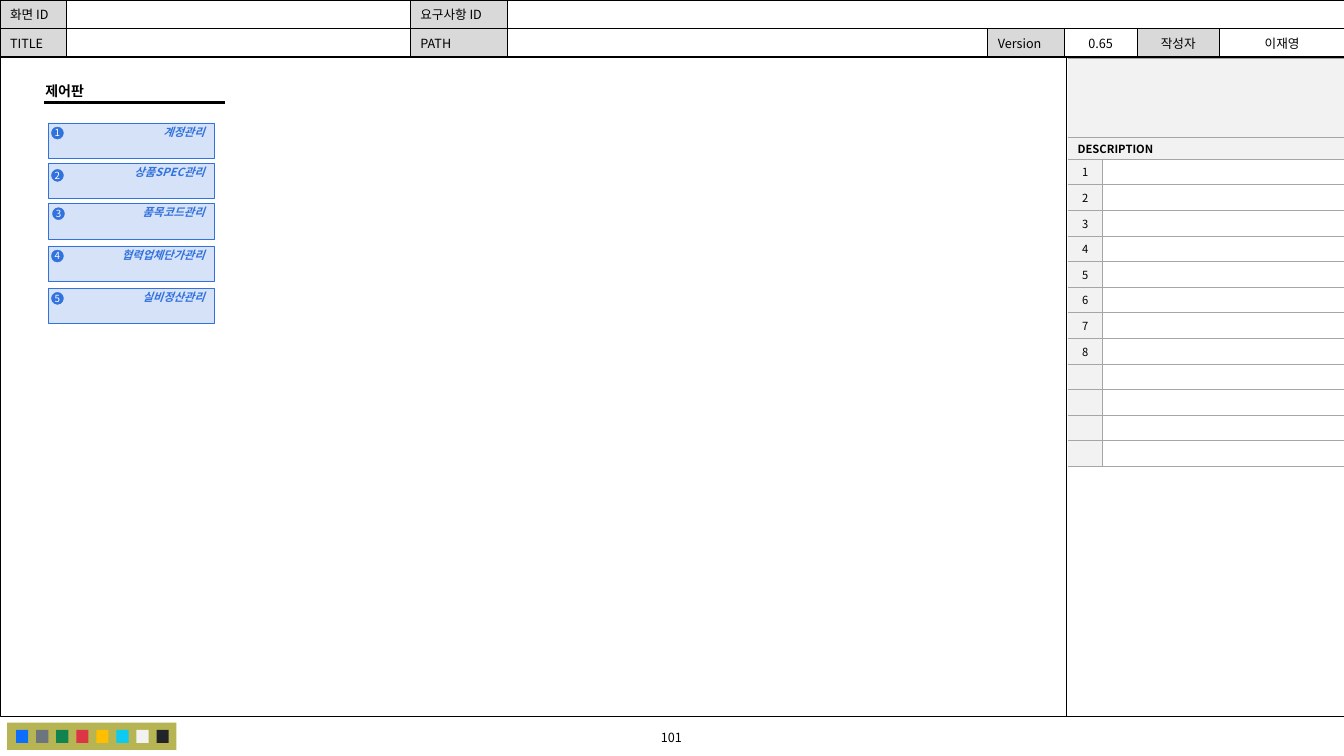
from dataclasses import dataclass
from typing import Optional

import lxml.etree
import pptx
import pptx.dml.color
import pptx.enum.shapes
import pptx.enum.text
import pptx.oxml.ns
import pptx.util

RGBColor = pptx.dml.color.RGBColor
Align = pptx.enum.text.PP_ALIGN
Anchor = pptx.enum.text.MSO_ANCHOR
Kind = pptx.enum.shapes.MSO_SHAPE
qn = pptx.oxml.ns.qn

BLACK = RGBColor(0x00, 0x00, 0x00)
WHITE = RGBColor(0xFF, 0xFF, 0xFF)
LABEL_GRAY = RGBColor(0xD9, 0xD9, 0xD9)
PANEL_GRAY = RGBColor(0xF2, 0xF2, 0xF2)
RULE_GRAY = RGBColor(0xA6, 0xA6, 0xA6)
BLUE = RGBColor(0x32, 0x72, 0xDE)
MENU_TEXT = RGBColor(0x32, 0x72, 0xDD)
OLIVE = RGBColor(0xB7, 0xB5, 0x53)
SWATCHES = [
    RGBColor(0x0D, 0x6E, 0xFD), RGBColor(0x6C, 0x75, 0x7D),
    RGBColor(0x10, 0x83, 0x4E), RGBColor(0xDC, 0x35, 0x45),
    RGBColor(0xFF, 0xBE, 0x00), RGBColor(0x0D, 0xCA, 0xF0),
    RGBColor(0xF2, 0xF2, 0xF2), RGBColor(0x21, 0x25, 0x29),
]
FONT = "Noto Sans CJK KR"

# The slide is a grid of square cells, ten to the inch
COLUMNS, ROWS = 133.33, 75


def grid(cells: float) -> int:
    return pptx.util.Inches(cells / 10)


@dataclass
class Box:
    left: float
    top: float
    width: float
    height: float

    def place(self) -> tuple:
        return tuple(map(grid, (self.left, self.top, self.width, self.height)))


@dataclass
class Style:
    size: float
    color: RGBColor = BLACK
    align: Optional[Align] = None
    bold: bool = False
    italic: bool = False


@dataclass
class MenuItem:
    label: str
    top: float
    badge_left: float = 5.1
    badge_drop: float = 0.4


MENU = [
    MenuItem("계정관리", 12.2),
    MenuItem("상품SPEC관리", 16.2, badge_drop=0.6),
    MenuItem("품목코드관리", 20.2, badge_left=5.2),
    MenuItem("협력업체단가관리", 24.4),
    MenuItem("실비정산관리", 28.6),
]
HEADER_COLUMNS = [6.6, 34.1, 9.6, 47.7, 7.6, 7.2, 8.2, 12.4]
HEADER_TEXT = [
    ["화면 ID", "", "요구사항 ID", "", "", "", "", ""],
    ["TITLE", "", "PATH", "", "Version", "0.65", "작성자", "이재영"],
]
HEADER_LABELS = {"화면 ID", "요구사항 ID", "TITLE", "PATH", "Version", "작성자"}
DESCRIPTION_ROWS, NUMBERED_ROWS = 12, 8


def write(frame, text: str, style: Style) -> None:
    paragraph = frame.paragraphs[0]
    paragraph.text = text
    paragraph.alignment = style.align
    font = paragraph.font
    font.name, font.size = FONT, pptx.util.Pt(style.size)
    font.bold, font.italic = style.bold, style.italic
    font.color.rgb = style.color
    defaults = paragraph._p.pPr.find(qn("a:defRPr"))
    lxml.etree.SubElement(defaults, qn("a:ea"), typeface=FONT)
    if not text:
        end = lxml.etree.SubElement(paragraph._p, qn("a:endParaRPr"))
        end.set("sz", str(int(style.size * 100)))


def set_margins(target, horizontal: float, top: float, bottom: float) -> None:
    target.margin_left = target.margin_right = grid(horizontal)
    target.margin_top, target.margin_bottom = grid(top), grid(bottom)


def draw_shape(shapes, kind: Kind, box: Box, fill: Optional[RGBColor] = None,
               line: Optional[RGBColor] = None):
    shape = shapes.add_shape(kind, *box.place())
    shape.shadow.inherit = False
    if fill is None:
        shape.fill.background()
    else:
        shape.fill.solid()
        shape.fill.fore_color.rgb = fill
    if line is None:
        shape.line.fill.background()
    else:
        shape.line.color.rgb = line
        shape.line.width = pptx.util.Pt(0.25)
    return shape


def draw_line(shapes, start: tuple, end: tuple, weight: float) -> None:
    connector = shapes.add_connector(
        pptx.enum.shapes.MSO_CONNECTOR.STRAIGHT, *map(grid, start + end))
    connector.line.color.rgb = BLACK
    connector.line.width = pptx.util.Pt(weight)
    lxml.etree.SubElement(connector._element.spPr, qn("a:effectLst"))


def draw_table(shapes, left: float, top: float, widths: list, heights: list):
    box = Box(left, top, sum(widths), sum(heights))
    table = shapes.add_table(len(heights), len(widths), *box.place()).table
    table.first_row = table.horz_banding = False
    for column, width in zip(table.columns, widths):
        column.width = grid(width)
    for row, height in zip(table.rows, heights):
        row.height = grid(height)
    return table


def paint_cell(cell, fill: Optional[RGBColor], sides: str, color: RGBColor) -> None:
    properties = cell._tc.get_or_add_tcPr()
    for side in "LRTB":
        border = lxml.etree.SubElement(properties, qn(f"a:ln{side}"), w="6350")
        if side in sides:
            solid = lxml.etree.SubElement(border, qn("a:solidFill"))
            lxml.etree.SubElement(solid, qn("a:srgbClr"), val=str(color))
        else:
            lxml.etree.SubElement(border, qn("a:noFill"))
    if fill is None:
        cell.fill.background()
    else:
        cell.fill.solid()
        cell.fill.fore_color.rgb = fill


def draw_header(shapes) -> None:
    table = draw_table(shapes, 0, 0, HEADER_COLUMNS, [2.8, 2.8])
    for row, texts in enumerate(HEADER_TEXT):
        for column, text in enumerate(texts):
            cell = table.cell(row, column)
            paint_cell(cell, LABEL_GRAY if text in HEADER_LABELS else WHITE, "LRTB", BLACK)
            write(cell.text_frame, text, Style(9, align=Align.CENTER if column > 4 else None))
    table.cell(0, 3).merge(table.cell(0, 7))


def draw_description(shapes) -> None:
    heights = [7.8, 2.2] + [2.54] * DESCRIPTION_ROWS
    table = draw_table(shapes, 105.9, 5.8, [3.5, 23.9], heights)
    for row in range(len(heights)):
        titled, number = row < 2, row - 1
        for column in range(2):
            cell = table.cell(row, column)
            inner = "" if titled else "RL"[column]
            paint_cell(cell, PANEL_GRAY if titled or column == 0 else None,
                       "TB" + inner, RULE_GRAY)
            set_margins(cell, 1 if titled else 0, 0, 0)
            cell.vertical_anchor = Anchor.MIDDLE
            numbered = column == 0 and 1 <= number <= NUMBERED_ROWS
            heading = row == 1 and column == 0
            text = "DESCRIPTION" if heading else str(number) if numbered else ""
            write(cell.text_frame, text,
                  Style(8, align=None if titled else Align.CENTER, bold=heading))
        if titled:
            table.cell(row, 0).merge(table.cell(row, 1))


def draw_menu_item(shapes, number: int, item: MenuItem) -> None:
    button = draw_shape(shapes, Kind.RECTANGLE, Box(4.8, item.top, 16.5, 3.5), BLUE, BLUE)
    color = button._element.spPr.find(qn("a:solidFill"))[0]
    lxml.etree.SubElement(color, qn("a:alpha"), val="20000")
    set_margins(button.text_frame, 1, 0.2, 0.5)
    button.text_frame.vertical_anchor = Anchor.TOP
    write(button.text_frame, item.label, Style(8, MENU_TEXT, Align.RIGHT, True, True))

    badge = draw_shape(shapes, Kind.OVAL,
                       Box(item.badge_left, item.top + item.badge_drop, 1.2, 1.2), BLUE, BLUE)
    set_margins(badge.text_frame, 0, 0, 0)
    badge.text_frame.vertical_anchor = Anchor.MIDDLE
    write(badge.text_frame, str(number), Style(7, WHITE, Align.CENTER))


def main() -> None:
    presentation = pptx.Presentation()
    presentation.slide_width, presentation.slide_height = grid(COLUMNS), grid(ROWS)
    slide = presentation.slides.add_slide(presentation.slide_layouts[6])
    shapes = slide.shapes

    # Page frame
    draw_header(shapes)
    draw_shape(shapes, Kind.RECTANGLE, Box(0, 5.6, COLUMNS, 65.5), line=BLACK)
    draw_line(shapes, (0, 5.65), (COLUMNS, 5.65), 1)
    draw_line(shapes, (105.8, 5.6), (105.8, 71.1), 0.5)
    page = shapes.add_textbox(*Box(53.7, 71.9, 25.8, 2.5).place())
    page.text_frame.word_wrap = True
    write(page.text_frame, "101", Style(9, align=Align.CENTER))

    # Palette
    palette = shapes.add_group_shape().shapes
    draw_shape(palette, Kind.RECTANGLE, Box(0.7, 71.7, 16.8, 2.7), OLIVE)
    for index, color in enumerate(SWATCHES):
        draw_shape(palette, Kind.RECTANGLE, Box(1.6 + 1.99 * index, 72.4, 1.2, 1.3), color)

    # Control panel menu
    title = shapes.add_textbox(*Box(4.5, 8.2, 4.2, 1.7).place())
    title.text_frame.word_wrap = False
    set_margins(title.text_frame, 0, 0, 0)
    write(title.text_frame, "제어판", Style(10, bold=True))
    draw_line(shapes, (4.4, 10.2), (22.3, 10.2), 2.25)
    for number, item in enumerate(MENU, start=1):
        draw_menu_item(shapes, number, item)

    draw_description(shapes)
    presentation.save("out.pptx")


if __name__ == "__main__":
    main()
